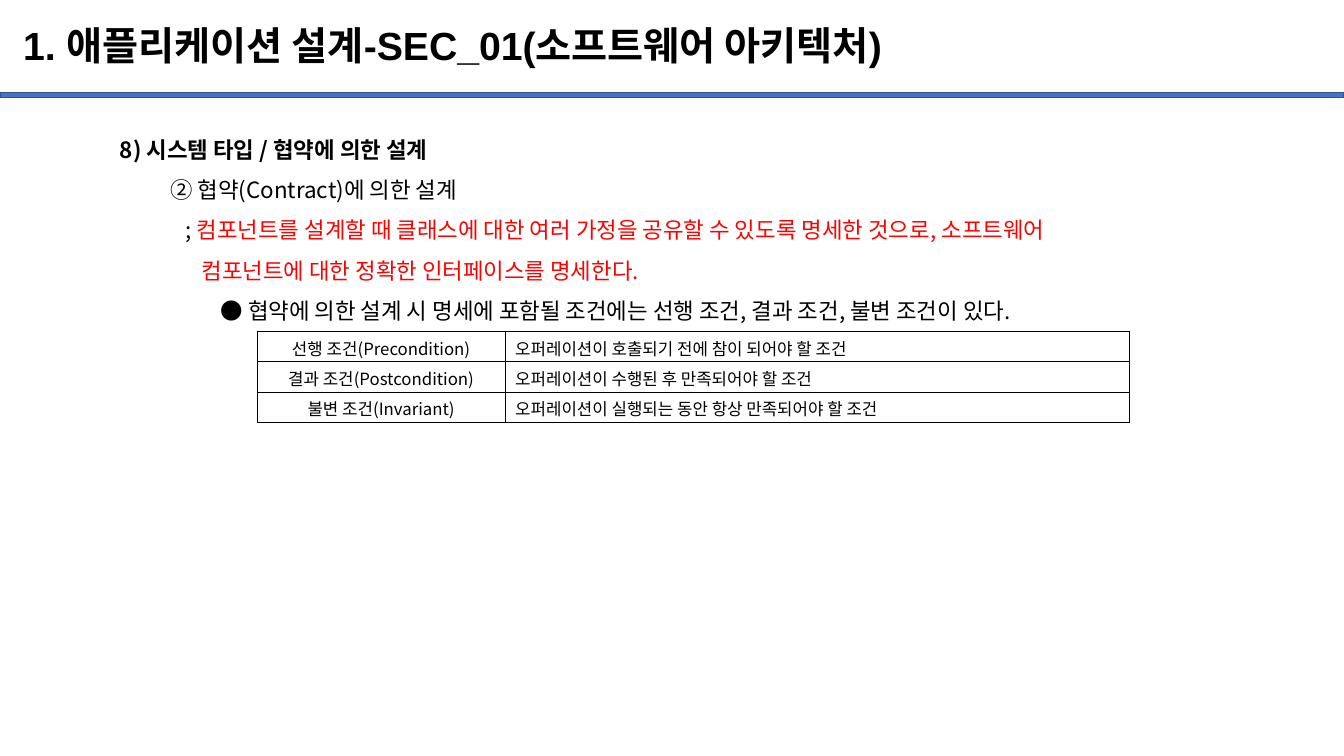
from dataclasses import dataclass

from lxml import etree
from pptx import Presentation
from pptx.dml.color import RGBColor
from pptx.enum.shapes import MSO_SHAPE
from pptx.enum.text import MSO_ANCHOR, MSO_AUTO_SIZE, PP_ALIGN
from pptx.oxml.ns import qn
from pptx.util import Inches, Pt

RECTANGLE = MSO_SHAPE.RECTANGLE
MIDDLE, TOP = MSO_ANCHOR.MIDDLE, MSO_ANCHOR.TOP
NO_AUTOFIT = MSO_AUTO_SIZE.NONE
LEFT, CENTER = PP_ALIGN.LEFT, PP_ALIGN.CENTER


@dataclass(frozen=True)
class Theme:
    black: str = "000000"
    white: str = "FFFFFF"
    red: str = "FF0000"
    bar: str = "4472C4"
    bar_line: str = "325491"
    title_font: str = "Arial"
    korean_font: str = "Noto Sans CJK KR"
    table_font: str = "Calibri"
    title_size: float = 28
    body_size: float = 16
    table_size: float = 12
    body_line: float = 28.7


THEME = Theme()

TITLE = "1. 애플리케이션 설계-SEC_01(소프트웨어 아키텍처)"
BODY = [
    (0, True, [("8) 시스템 타입 / 협약에 의한 설계", THEME.black)]),
    (0.5, False, [("② 협약(Contract)에 의한 설계", THEME.black)]),
    (0.65, False, [
        ("; ", THEME.black),
        ("컴포넌트를 설계할 때 클래스에 대한 여러 가정을 공유할 수 있도록 명세한 것으로, 소프트웨어", THEME.red),
    ]),
    (0.81, False, [("컴포넌트에 대한 정확한 인터페이스를 명세한다.", THEME.red)]),
    (1, False, [
        ("● 협약에 의한 설계 시 명세에 포함될 조건에는 선행 조건, 결과 조건, 불변 조건이 있다.", THEME.black),
    ]),
]
CONDITIONS = [
    ("선행 조건(Precondition)", "오퍼레이션이 호출되기 전에 참이 되어야 할 조건"),
    ("결과 조건(Postcondition)", "오퍼레이션이 수행된 후 만족되어야 할 조건"),
    ("불변 조건(Invariant)", "오퍼레이션이 실행되는 동안 항상 만족되어야 할 조건"),
]
COLUMN_FORMATS = [(2.46, CENTER, THEME.korean_font), (6.19, LEFT, THEME.table_font)]
ROW_HEIGHT = 0.3


def color(value):
    return RGBColor.from_string(value)


def add_text(paragraph, text, font=THEME.korean_font, size=THEME.body_size,
             fill=THEME.black, bold=False, align=LEFT):
    paragraph.alignment = align
    run = paragraph.add_run()
    run.text = text
    run.font.name = font
    run.font.size = Pt(size)
    run.font.bold = bold
    run.font.color.rgb = color(fill)
    east_asian = etree.Element(qn("a:ea"), typeface=THEME.korean_font)
    run.font._element.find(qn("a:latin")).addnext(east_asian)


def place(shape, left, top, width, height):
    shape.left, shape.top = Inches(left), Inches(top)
    shape.width, shape.height = Inches(width), Inches(height)


def prepare_frame(shape, anchor):
    frame = shape.text_frame
    frame.word_wrap = True
    frame.auto_size = NO_AUTOFIT
    frame.vertical_anchor = anchor
    return frame


def add_bar(slide, width):
    bar = slide.shapes.add_shape(RECTANGLE, 0, Inches(0.92), width, Inches(0.05))
    bar.shadow.inherit = False
    bar.fill.solid()
    bar.fill.fore_color.rgb = color(THEME.bar)
    bar.line.color.rgb = color(THEME.bar_line)
    bar.line.width = Pt(1)


def add_title(slide):
    title = slide.shapes.title
    place(title, 0.13, 0.1, 11.5, 0.74)
    paragraph = prepare_frame(title, MIDDLE).paragraphs[0]
    paragraph.line_spacing = 0.9
    add_text(paragraph, TITLE, font=THEME.title_font, size=THEME.title_size, bold=True)


def add_body(slide):
    body = slide.placeholders[1]
    place(body, 1.09, 1.17, 11.72, 2.12)
    frame = prepare_frame(body, TOP)
    for index, (indent, bold, parts) in enumerate(BODY):
        paragraph = frame.add_paragraph() if index else frame.paragraphs[0]
        properties = paragraph._p.get_or_add_pPr()
        properties.set("marL", str(Inches(indent)))
        properties.set("indent", "0")
        etree.SubElement(properties, qn("a:buNone"))
        paragraph.space_before = Pt(0)
        paragraph.line_spacing = Pt(THEME.body_line)
        for text, fill in parts:
            add_text(paragraph, text, fill=fill, bold=bold)


def add_borders(cell):
    properties = cell._tc.get_or_add_tcPr()
    for side in ("lnL", "lnR", "lnT", "lnB"):
        line = etree.SubElement(properties, qn(f"a:{side}"), w=str(Pt(1)))
        fill = etree.SubElement(line, qn("a:solidFill"))
        etree.SubElement(fill, qn("a:srgbClr"), val=THEME.black)


def add_condition_table(slide):
    width = sum(column[0] for column in COLUMN_FORMATS)
    table = slide.shapes.add_table(
        len(CONDITIONS), len(COLUMN_FORMATS), Inches(2.55), Inches(3.29),
        Inches(width), Inches(ROW_HEIGHT * len(CONDITIONS))).table
    table.first_row = False
    table.horz_banding = False
    for column, (column_width, _, _) in zip(table.columns, COLUMN_FORMATS):
        column.width = Inches(column_width)
    for row, texts in zip(table.rows, CONDITIONS):
        row.height = Inches(ROW_HEIGHT)
        for cell, text, (_, align, font) in zip(row.cells, texts, COLUMN_FORMATS):
            add_borders(cell)
            cell.fill.solid()
            cell.fill.fore_color.rgb = color(THEME.white)
            cell.margin_top, cell.margin_bottom = Inches(0.04), Inches(0.01)
            add_text(cell.text_frame.paragraphs[0], text, font=font,
                     size=THEME.table_size, align=align)


def main():
    presentation = Presentation()
    presentation.slide_width = Inches(13.33)
    presentation.slide_height = Inches(7.5)
    slide = presentation.slides.add_slide(presentation.slide_layouts[1])
    add_bar(slide, presentation.slide_width)
    add_title(slide)
    add_body(slide)
    add_condition_table(slide)
    presentation.save("out.pptx")


if __name__ == "__main__":
    main()
